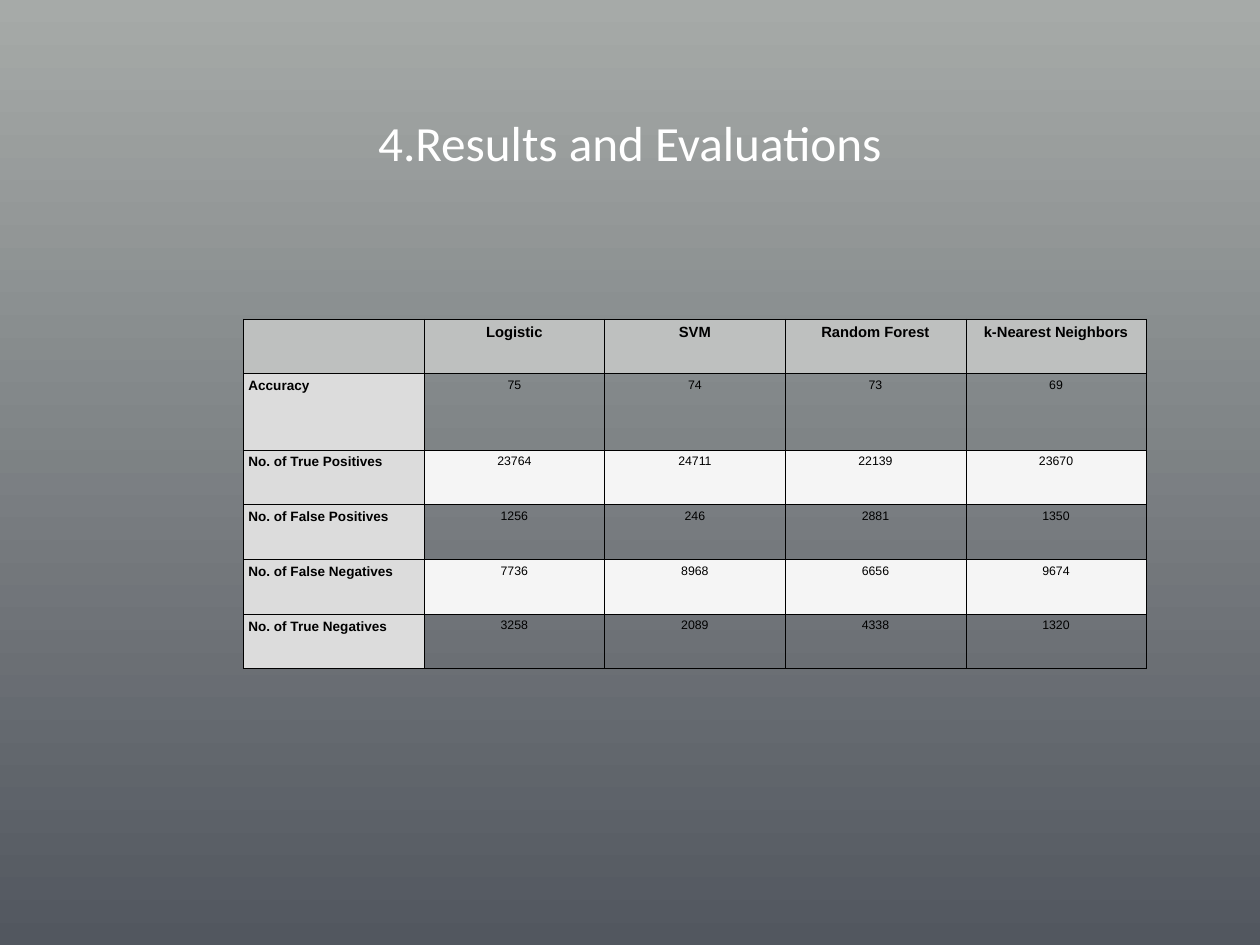
from lxml import etree
from pptx import Presentation
from pptx.dml.color import RGBColor
from pptx.enum.text import MSO_ANCHOR, PP_ALIGN
from pptx.oxml.ns import qn
from pptx.util import Cm, Pt

LEFT, CENTER = PP_ALIGN.LEFT, PP_ALIGN.CENTER
TOP, MIDDLE = MSO_ANCHOR.TOP, MSO_ANCHOR.MIDDLE
TITLE_ONLY_LAYOUT = 5
INSET = Cm(0.14)
THIN, THICK = Pt(0.35), Pt(0.75)
COLORS = {
    "background_top": "A6AAA8",
    "background_bottom": "52575F",
    "title": "FFFFFF",
    "text": "000000",
    "border": "000000",
    "header": "BEC0BF",
    "label": "DCDCDC",
    "band": "F5F5F5",
}
RESULTS = [
    ["", "Logistic", "SVM", "Random Forest", "k-Nearest Neighbors"],
    ["Accuracy", "75", "74", "73", "69"],
    ["No. of True Positives", "23764", "24711", "22139", "23670"],
    ["No. of False Positives", "1256", "246", "2881", "1350"],
    ["No. of False Negatives", "7736", "8968", "6656", "9674"],
    ["No. of True Negatives", "3258", "2089", "4338", "1320"],
]
ROW_HEIGHTS = [1.57, 2.18, 1.57, 1.57, 1.57, 1.57]


def color(name):
    return RGBColor.from_string(COLORS[name])


def write_text(text_frame, text, size, font="Arial", color_name="text",
               bold=False, align=CENTER):
    paragraph = text_frame.paragraphs[0]
    paragraph.alignment = align
    run = paragraph.add_run()
    run.text = text
    run.font.name = font
    run.font.size = Pt(size)
    run.font.bold = bold
    run.font.color.rgb = color(color_name)


def set_insets(target):
    target.margin_left = target.margin_right = INSET
    target.margin_top = target.margin_bottom = INSET


def set_borders(cell, row, column):
    """Draw thin cell borders, thicker along the header row and label column."""
    widths = {
        "a:lnL": THICK if column == 1 and row > 0 else THIN,
        "a:lnR": THICK if column == 0 and row > 0 else THIN,
        "a:lnT": THICK if row == 1 else THIN,
        "a:lnB": THICK if row == 0 else THIN,
    }
    properties = cell._tc.get_or_add_tcPr()
    for tag, width in widths.items():
        line = etree.SubElement(properties, qn(tag), w=str(int(width)))
        fill = etree.SubElement(line, qn("a:solidFill"))
        etree.SubElement(fill, qn("a:srgbClr"), val=COLORS["border"])


def set_fill(cell, row, column):
    if row == 0:
        name = "header"
    elif column == 0:
        name = "label"
    elif row % 2 == 0:
        name = "band"
    else:
        cell.fill.background()
        return
    cell.fill.solid()
    cell.fill.fore_color.rgb = color(name)


def paint_background(slide):
    fill = slide.background.fill
    fill.gradient()
    fill.gradient_angle = 270
    for stop, name in zip(fill.gradient_stops, ["background_top", "background_bottom"]):
        stop.color.rgb = color(name)
    fill.gradient_stops[0].position = 0
    fill.gradient_stops[1].position = 1


def place_title(slide, left, top, width, height):
    title = slide.shapes.title
    title.left, title.top, title.width, title.height = left, top, width, height
    set_insets(title.text_frame)
    title.text_frame.vertical_anchor = MIDDLE
    write_text(title.text_frame, "4.Results and Evaluations", 40,
               font="Calibri", color_name="title")


def place_results_table(slide, left, top, width, height):
    column_count = len(RESULTS[0])
    table = slide.shapes.add_table(len(RESULTS), column_count,
                                   left, top, width, height).table
    for column in table.columns:
        column.width = width // column_count
    for table_row, share in zip(table.rows, ROW_HEIGHTS):
        table_row.height = int(height * share / sum(ROW_HEIGHTS))
    for row, values in enumerate(RESULTS):
        for column, text in enumerate(values):
            cell = table.cell(row, column)
            set_insets(cell)
            cell.vertical_anchor = TOP
            set_borders(cell, row, column)
            set_fill(cell, row, column)
            if text:
                size = 12 if row == 0 else 11 if column == 0 else 10
                write_text(cell.text_frame, text, size,
                           bold=row == 0 or column == 0,
                           align=LEFT if column == 0 else CENTER)


def main():
    presentation = Presentation()
    presentation.slide_width = Cm(36.12)
    presentation.slide_height = Cm(27.1)
    slide = presentation.slides.add_slide(presentation.slide_layouts[TITLE_ONLY_LAYOUT])
    paint_background(slide)
    place_title(slide, Cm(2.64), Cm(1.12), Cm(30.84), Cm(5.89))
    place_results_table(slide, Cm(6.98), Cm(9.15), Cm(25.88), Cm(10.03))
    presentation.save("out.pptx")


if __name__ == "__main__":
    main()
